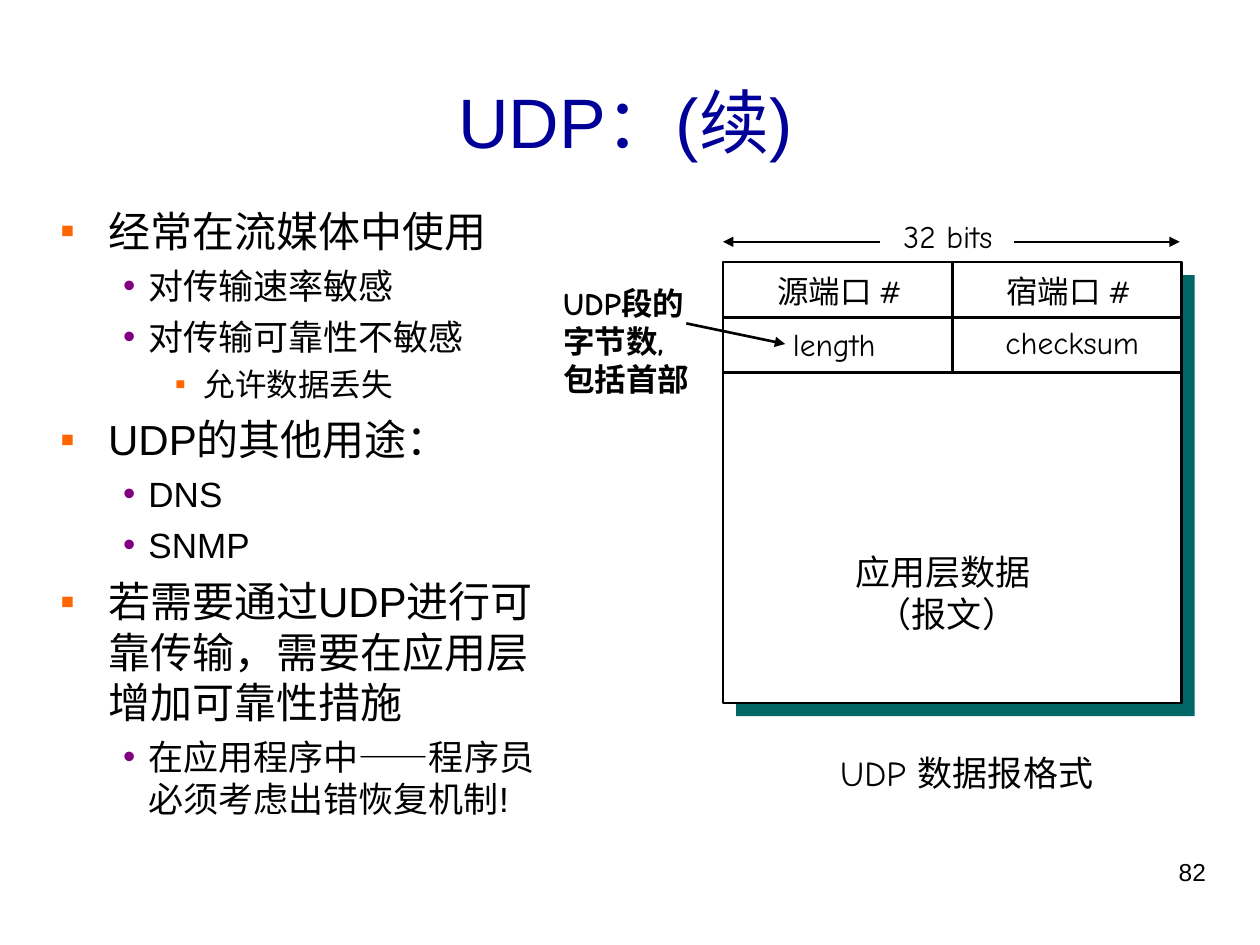
from lxml import etree
from pptx import Presentation
from pptx.dml.color import RGBColor
from pptx.enum.shapes import MSO_CONNECTOR as Line, MSO_SHAPE as Shape
from pptx.enum.text import MSO_ANCHOR as Anchor, MSO_AUTO_SIZE as Fit, PP_ALIGN as Align
from pptx.oxml.ns import qn
from pptx.util import Pt

BLACK = RGBColor(0x00, 0x00, 0x00)
WHITE = RGBColor(0xFF, 0xFF, 0xFF)
NAVY = RGBColor(0x00, 0x00, 0x99)
ORANGE = RGBColor(0xFF, 0x66, 0x00)
PURPLE = RGBColor(0x80, 0x00, 0x80)
TEAL = RGBColor(0x00, 0x66, 0x66)
ARIAL, COMIC = "Arial", "Comic Neue"

# Outline levels: size, left margin, hanging indent, space before, bullet, its colour
LEVELS = [
    (24, 27.36, 27.36, 6, "▪", ORANGE),
    (20, 50.4, 14.4, 5, "•", PURPLE),
    (18, 82.08, 16.56, 4.5, "▪", ORANGE),
]
# Each point: level, then runs of text and font
POINTS = [
    (0, [("经常在流媒体中使用", ARIAL)]),
    (1, [("对传输速率敏感", ARIAL)]),
    (1, [("对传输可靠性不敏感", ARIAL)]),
    (2, [("允许数据丢失", ARIAL)]),
    (0, [("UDP的其他用途：", ARIAL)]),
    (1, [("DNS", ARIAL)]),
    (1, [("SNMP", ARIAL)]),
    (0, [("若需要通过UDP进行可靠传输，需要在应用层增加可靠性措施", ARIAL)]),
    (1, [("在应用程序中", ARIAL), ("——", COMIC),
         ("程序员必须考虑出错恢复机制!", ARIAL)]),
]


def add_run(paragraph, text, size, font, color=BLACK, bold=False):
    run = paragraph.add_run()
    run.text = text
    run.font.size = Pt(size)
    run.font.name = font
    run.font.color.rgb = color
    run.font.bold = bold


def add_label(shapes, box, lines, size, font=COMIC, color=BLACK,
              align=Align.CENTER, anchor=Anchor.TOP, bold=False, wrap=False):
    frame = shapes.add_textbox(*map(Pt, box)).text_frame
    frame.word_wrap = wrap
    frame.auto_size = Fit.NONE if wrap else Fit.SHAPE_TO_FIT_TEXT
    frame.vertical_anchor = anchor
    for index, line in enumerate(lines):
        paragraph = frame.add_paragraph() if index else frame.paragraphs[0]
        paragraph.alignment = align
        add_run(paragraph, line, size, font, color, bold)


def add_rule(shapes, start, end, arrow=False):
    rule = shapes.add_connector(Line.STRAIGHT, *map(Pt, (*start, *end)))
    rule.line.color.rgb = BLACK
    rule.line.width = Pt(1.5)
    if arrow:
        etree.SubElement(rule.line._get_or_add_ln(), qn("a:tailEnd"), type="triangle")
    etree.SubElement(rule._element.spPr, qn("a:effectLst"))


def add_panel(shapes, box, fill, outline=None):
    panel = shapes.add_shape(Shape.RECTANGLE, *map(Pt, box))
    panel.shadow.inherit = False
    panel.fill.solid()
    panel.fill.fore_color.rgb = fill
    if outline is None:
        panel.line.fill.background()
    else:
        panel.line.color.rgb = outline
        panel.line.width = Pt(1.5)


def set_bullet(paragraph, margin, hanging, char, color):
    props = paragraph._p.get_or_add_pPr()
    props.set("marL", str(Pt(margin)))
    props.set("indent", str(-Pt(hanging)))
    bullet_color = etree.SubElement(props, qn("a:buClr"))
    etree.SubElement(bullet_color, qn("a:srgbClr"), val=str(color))
    etree.SubElement(props, qn("a:buFont"), typeface=ARIAL)
    etree.SubElement(props, qn("a:buChar"), char=char)


def build_outline(slide, box):
    frame = slide.shapes.add_textbox(*map(Pt, box)).text_frame
    frame.word_wrap = True
    for index, (level, runs) in enumerate(POINTS):
        size, margin, hanging, before, char, color = LEVELS[level]
        paragraph = frame.add_paragraph() if index else frame.paragraphs[0]
        paragraph.level = level
        set_bullet(paragraph, margin, hanging, char, color)
        if index:
            paragraph.space_before = Pt(before)
        for text, font in runs:
            add_run(paragraph, text, size, font)


def build_datagram(slide, box):
    left, top, width, height = box
    right, middle = left + width, left + width / 2
    row = 31.5
    shapes = slide.shapes.add_group_shape().shapes

    # Segment with its offset backing
    add_panel(shapes, (left + 7.5, top + 7.5, width, height), TEAL)
    add_panel(shapes, box, WHITE, BLACK)

    # Header grid
    for number in (1, 2):
        y = top + number * row
        add_rule(shapes, (left, y), (right, y))
    add_rule(shapes, (middle, top), (middle, top + 2 * row))
    for text, x, y, label_width in [
        ("源端口 #", 21.5, 2, 90), ("宿端口 #", 152.5, 2, 90),
        ("length", 30, 32.5, 67), ("checksum", 152, 31.5, 95),
    ]:
        add_label(shapes, (left + x, top + y, label_width, 29), [text], 18)

    # Payload
    add_label(shapes, (left + 68.5, top + 161, 119, 55.5),
              ["应用层数据 ", "（报文）"], 20)

    # Width marker
    add_label(shapes, (left + 92.5, top - 29.5, 72, 29), ["32 bits"], 18)
    y = top - 11.6
    add_rule(shapes, (left + 89.5, y), (left, y), arrow=True)
    add_rule(shapes, (right - 96, y), (right - 1, y), arrow=True)

    # Note on the length field
    add_label(shapes, (left - 98.5, top + 9.2, 88, 72),
              ["UDP段的", "字节数,", "包括首部"], 18, align=Align.LEFT, bold=True)
    add_rule(shapes, (left - 21, top + 35), (left + 35.5, top + 46.8), arrow=True)

    # Caption
    add_label(slide.shapes, (left + 57.5, top + 276.2, 163.5, 31.5),
              ["UDP 数据报格式"], 20)


def main():
    deck = Presentation()
    deck.slide_width, deck.slide_height = Pt(720), Pt(540)
    slide = deck.slides.add_slide(deck.slide_layouts[6])

    # Title and page number
    add_label(slide.shapes, (34.56, 41.76, 656.64, 54), ["UDP：(续) "], 40,
              ARIAL, NAVY, anchor=Anchor.MIDDLE, wrap=True)
    add_label(slide.shapes, (516.24, 486, 180, 37.44), ["82"], 14,
              ARIAL, align=Align.RIGHT, wrap=True)

    build_outline(slide, (27.36, 113.76, 290.88, 388.8))
    build_datagram(slide, (413.2, 149.8, 262, 252))
    deck.save("out.pptx")


if __name__ == "__main__":
    main()
